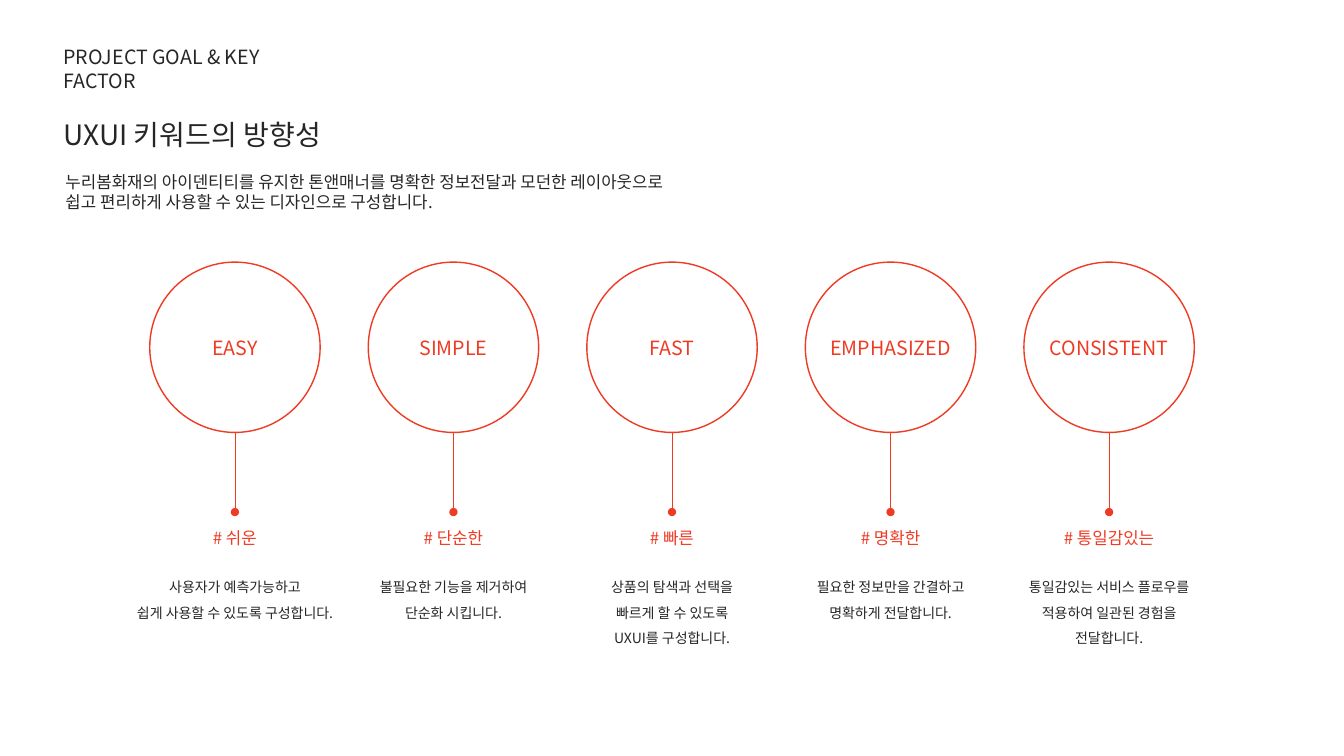
from lxml.etree import SubElement
from pptx import Presentation
from pptx.dml.color import RGBColor
from pptx.enum.shapes import MSO_CONNECTOR, MSO_SHAPE
from pptx.enum.text import MSO_ANCHOR, MSO_AUTO_SIZE, PP_ALIGN
from pptx.oxml.ns import qn
from pptx.util import Inches, Pt

COLORS = {"ink": "262626", "red": "EF3B24", "white": "FFFFFF"}
FONT = "Noto Sans CJK KR"


def color(name):
    return RGBColor.from_string(COLORS[name])


def write(shape, paras, size, ink, align=PP_ALIGN.LEFT, side=0.1,
          space=1.0, before=0, anchor=MSO_ANCHOR.TOP, wrap=True):
    frame = shape.text_frame
    frame.word_wrap = wrap
    frame.auto_size = MSO_AUTO_SIZE.NONE
    frame.vertical_anchor = anchor
    frame.margin_left = frame.margin_right = Inches(side)
    frame.margin_top = frame.margin_bottom = Inches(0.05)
    for i, lines in enumerate(paras):
        para = frame.add_paragraph() if i else frame.paragraphs[0]
        para.alignment = align
        para.line_spacing = space
        para.space_before = Pt(before)
        for j, line in enumerate(lines.split("\n")):
            if j:
                para.add_line_break()
            run = para.add_run()
            run.text = line
            run.font.size = Pt(size)
            run.font.color.rgb = color(ink)
            run.font.name = FONT
            SubElement(run.font._element, qn("a:ea"), typeface=FONT)


deck = Presentation()
deck.slide_width, deck.slide_height = Inches(13.33), Inches(7.5)
slide = deck.slides.add_slide(deck.slide_layouts[5])
shapes = slide.shapes

label = shapes.add_textbox(Inches(0.53), Inches(0.4), Inches(2.69), Inches(0.34))
write(label, ["PROJECT GOAL & KEY FACTOR"], 14, "ink", before=1)

title = shapes.title
title.left, title.top = Inches(0.53), Inches(1.12)
title.width, title.height = Inches(4.35), Inches(0.44)
write(title, ["UXUI 키워드의 방향성"], 20, "ink", before=1)

intro = shapes.add_textbox(Inches(0.63), Inches(1.65), Inches(11.47), Inches(0.5))
write(intro, ["누리봄화재의 아이덴티티를 유지한 톤앤매너를 명확한 정보전달과 모던한 레이아웃으로",
              "쉽고 편리하게 사용할 수 있는 디자인으로 구성합니다."], 12, "ink", side=0.02)

factors = [
    ("EASY", "# 쉬운", ["사용자가 예측가능하고", "쉽게 사용할 수 있도록 구성합니다."]),
    ("SIMPLE", "# 단순한", ["불필요한 기능을 제거하여", "단순화 시킵니다."]),
    ("FAST", "# 빠른", ["상품의 탐색과 선택을", "빠르게 할 수 있도록", "UXUI를 구성합니다."]),
    ("EMPHASIZED", "# 명확한", ["필요한 정보만을 간결하고", "명확하게 전달합니다."]),
    ("CONSISTENT", "# 통일감있는",
     ["통일감있는 서비스 플로우를\n적용하여 일관된 경험을 전달합니다."]),
]
first, last = 2.33, 11.0
step = (last - first) / (len(factors) - 1)
size, top = 1.69, 2.6

for i, (word, tag, note) in enumerate(factors):
    mid = first + i * step

    ring = shapes.add_shape(MSO_SHAPE.OVAL, Inches(mid - size / 2), Inches(top),
                            Inches(size), Inches(size))
    ring.shadow.inherit = False
    ring.fill.solid()
    ring.fill.fore_color.rgb = color("white")
    ring.line.color.rgb = color("red")
    ring.line.width = Pt(1)
    write(ring, [word], 14, "red", PP_ALIGN.CENTER,
          anchor=MSO_ANCHOR.MIDDLE, wrap=False)

    stem = shapes.add_connector(MSO_CONNECTOR.STRAIGHT, Inches(mid), Inches(top + size),
                                Inches(mid), Inches(5.08))
    stem.line.color.rgb = color("red")
    stem.line.width = Pt(0.25)
    SubElement(stem.line._get_or_add_ln(), qn("a:tailEnd"), type="oval")
    SubElement(stem._element.spPr, qn("a:effectLst"))

    head = shapes.add_textbox(Inches(mid - 0.52), Inches(5.19), Inches(1.04), Inches(0.3))
    write(head, [tag], 12, "red", PP_ALIGN.CENTER, side=0.02)

    body = shapes.add_textbox(Inches(mid - 1.01), Inches(5.61), Inches(2.02), Inches(0.83))
    write(body, note, 10, "ink", PP_ALIGN.CENTER, side=0.02, space=1.5)

deck.save("out.pptx")
